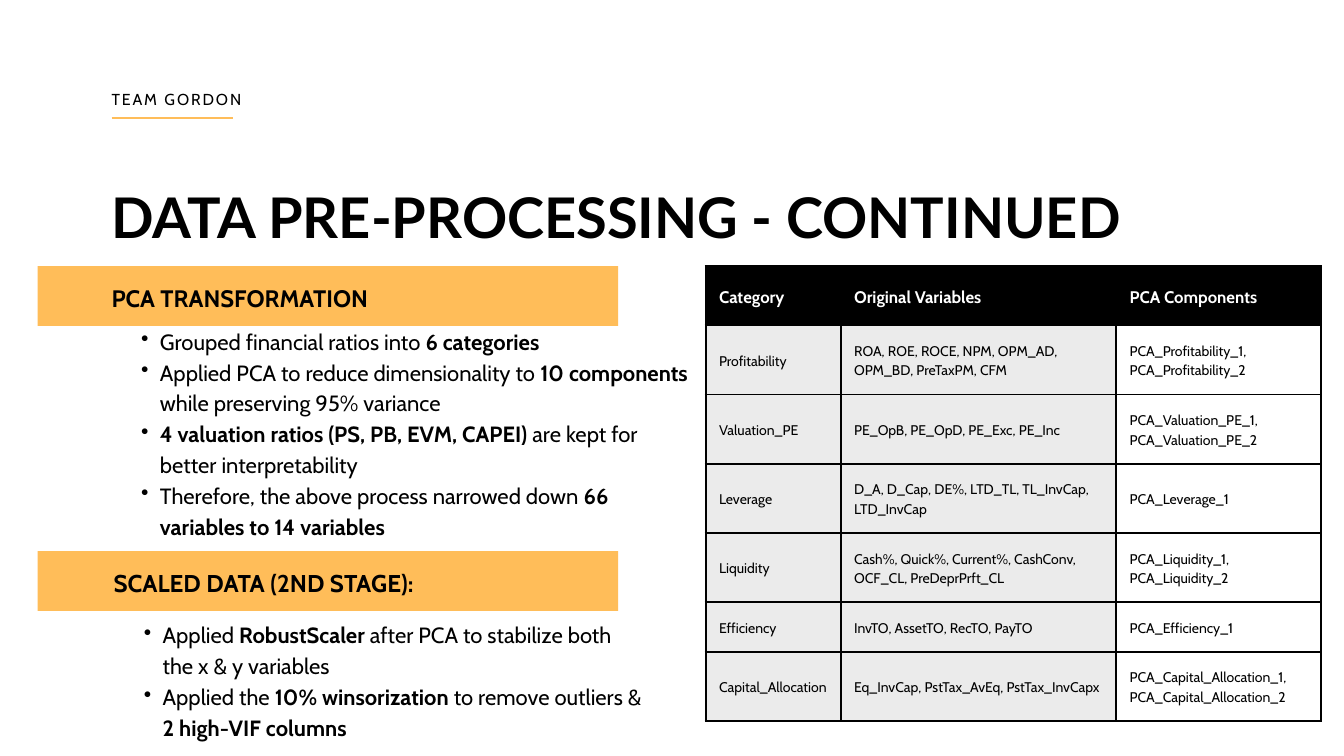
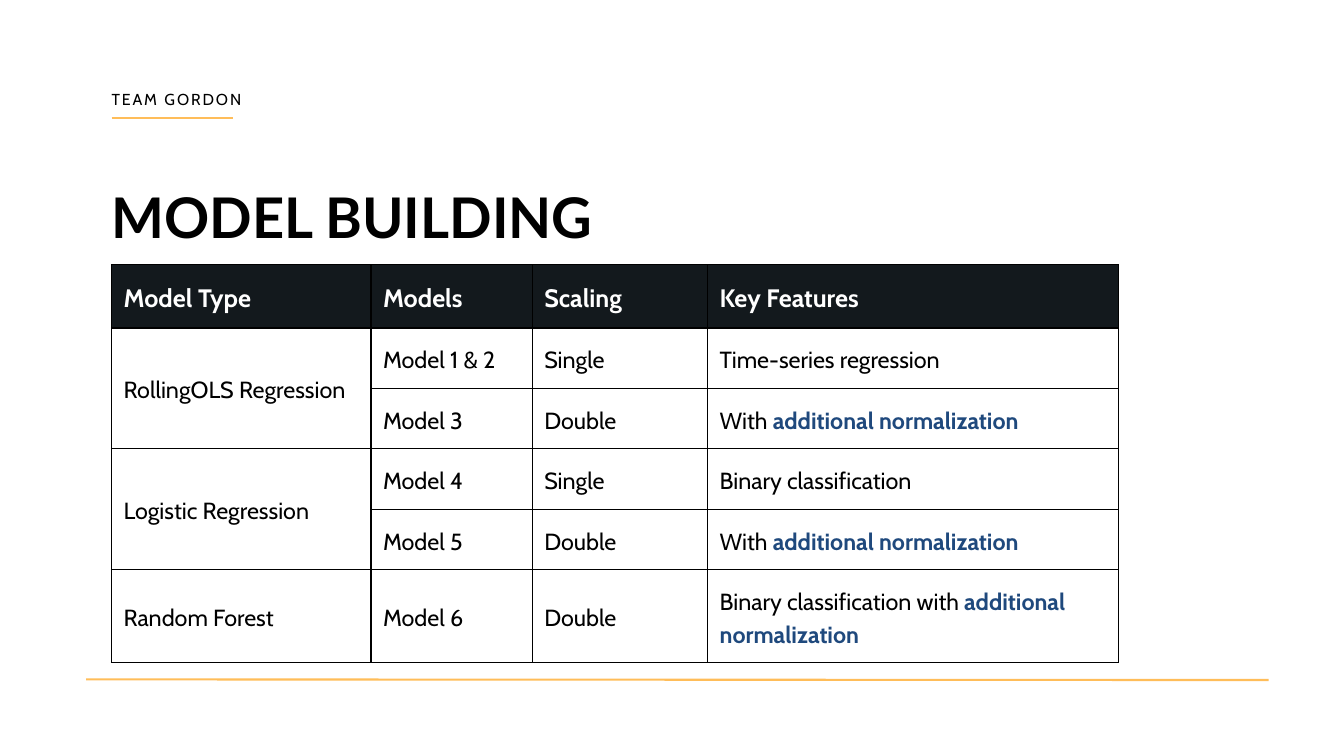
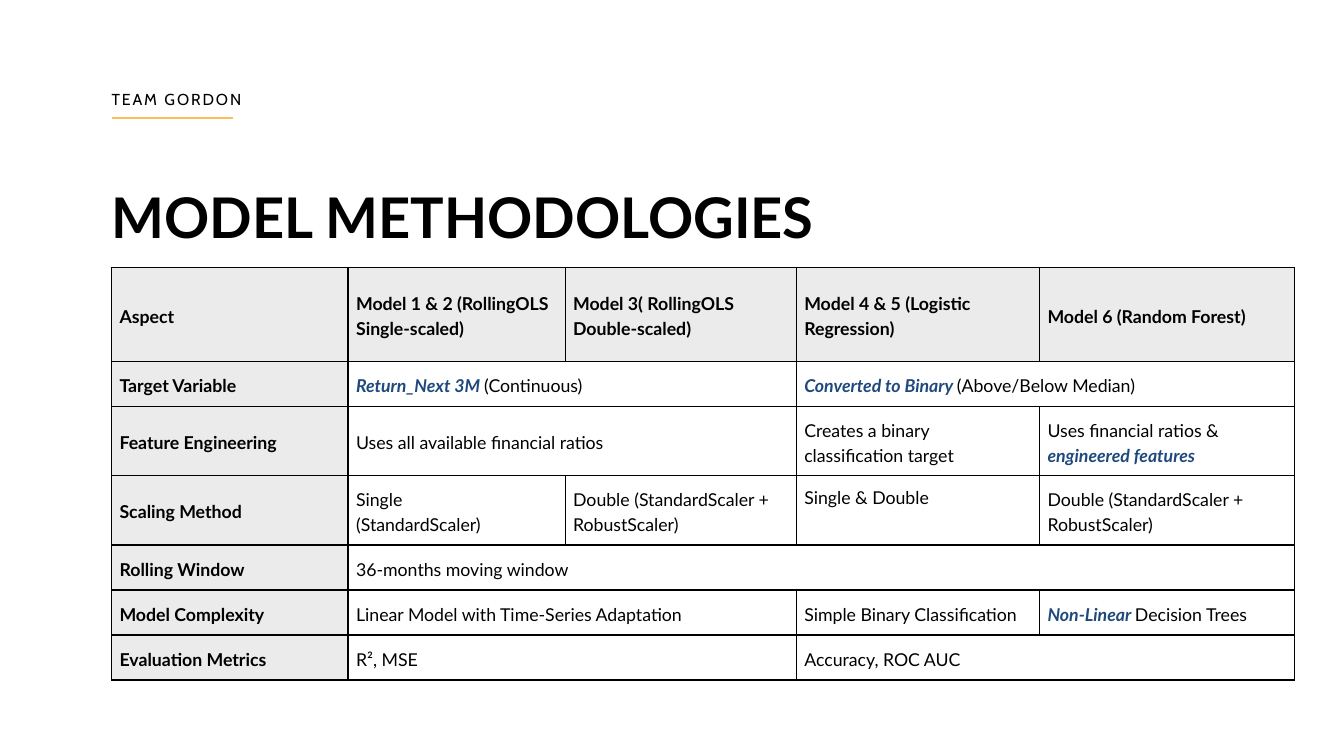
from dataclasses import dataclass

from lxml import etree
from pptx import Presentation
from pptx import util as u
from pptx.dml.color import RGBColor
from pptx.enum import shapes, text
from pptx.oxml import ns


@dataclass(frozen=True)
class Theme:
    ink: str = "000000"
    paper: str = "FFFFFF"
    gold: str = "FFBD59"
    gray: str = "EBEBEB"
    night: str = "13191D"
    blue: str = "1F497D"
    head: str = "Lato"
    body: str = "Cabin"
    title: float = 60
    tag: float = 17
    item: float = 23.6
    rule: float = 2.25


@dataclass(frozen=True)
class Look:
    """How one table is dressed."""
    font: str
    top: float              # header type size
    size: float             # body type size
    pad: float              # cell margin, in grid steps
    edge: float             # border width, in points
    fill: str               # header fill
    ink: str                # header text
    side: int = 0           # number of shaded columns
    bold: bool = False      # bold shaded columns
    rest: str = ""          # fill of the other cells
    mark: str = "000000"    # colour of marked words
    slant: bool = False     # marked words in italics


def rgb(code):
    return RGBColor.from_string(code)


def sub(node, tag, **attrs):
    return etree.SubElement(node, ns.qn(tag), attrs)


class Deck:
    COLS, ROWS = 200, 112.5     # grid steps across and down

    def __init__(self, theme):
        self.theme = theme
        self.prs = Presentation()
        self.prs.slide_width = u.Inches(20)
        self.prs.slide_height = u.Inches(11.25)
        self.slide = None

    def x(self, n):
        return u.Emu(round(self.prs.slide_width * n / self.COLS))

    def y(self, n):
        return u.Emu(round(self.prs.slide_height * n / self.ROWS))

    def box(self, left, top, wide, high):
        return self.x(left), self.y(top), self.x(wide), self.y(high)

    # Text: words between asterisks are marked, each line is a paragraph
    def fit(self, frame, words, font, size, lead, ink=None, bold=False,
            mark=None, slant=False, bullet=False, track=0):
        ink = ink or self.theme.ink
        for i, line in enumerate(words.split("\n")):
            para = frame.paragraphs[0] if i == 0 else frame.add_paragraph()
            if bullet:
                para.level = 1
                props = para._p.get_or_add_pPr()
                props.set("marL", str(self.x(5.6)))
                props.set("indent", str(-self.x(2.8)))
                sub(props, "a:buChar", char="•")
            para.alignment = text.PP_ALIGN.LEFT
            para.line_spacing = u.Pt(lead)
            para.space_before = u.Pt(0)
            para.font.name, para.font.size = font, u.Pt(size)
            para.font.bold = bold
            para.font.color.rgb = rgb(ink)
            for j, part in enumerate(line.split("*")):
                if not part:
                    continue
                run = para.add_run()
                run.text = part
                if track:
                    run._r.get_or_add_rPr().set("spc", str(track * 100))
                if j % 2:
                    run.font.bold = True
                    run.font.italic = slant
                    run.font.color.rgb = rgb(mark or ink)

    def bare(self, frame):
        frame.margin_left = frame.margin_right = 0
        frame.margin_top = frame.margin_bottom = 0
        frame.word_wrap = True
        frame.auto_size = text.MSO_AUTO_SIZE.NONE
        frame.vertical_anchor = text.MSO_ANCHOR.TOP
        return frame

    def label(self, area, words, size, lead, **style):
        shape = self.slide.shapes.add_textbox(*self.box(*area))
        self.fit(self.bare(shape.text_frame), words, self.theme.body,
                 size, lead, **style)

    def items(self, area, words):
        self.label(area, "\n".join(words), self.theme.item, 33, bullet=True)

    # Lines and bands
    def line(self, x1, y1, x2, y2):
        rule = self.slide.shapes.add_connector(
            shapes.MSO_CONNECTOR.STRAIGHT,
            self.x(x1), self.y(y1), self.x(x2), self.y(y2))
        rule.line.color.rgb = rgb(self.theme.gold)
        rule.line.width = u.Pt(self.theme.rule)
        sub(rule._element.spPr, "a:effectLst")

    def band(self, top):
        bar = self.slide.shapes.add_shape(
            shapes.MSO_SHAPE.RECTANGLE, *self.box(5.6, top, 86.4, 8.9))
        bar.shadow.inherit = False
        bar.fill.solid()
        bar.fill.fore_color.rgb = rgb(self.theme.gold)
        bar.line.fill.background()

    # A slide with its title, team tag and short rule
    def page(self, title, wide):
        t = self.theme
        self.slide = self.prs.slides.add_slide(self.prs.slide_layouts[5])
        head = self.slide.shapes.title
        head.left, head.top, head.width, head.height = self.box(
            16.6, 25.9, wide, 11)
        self.fit(self.bare(head.text_frame), title, t.head, t.title, 81,
                 bold=True)
        self.line(16.6, 17.6, 34.6, 17.6)
        self.label((16.6, 12.9, 27.8, 3.2), "TEAM GORDON", t.tag, 23.8,
                   track=2)

    # Tables: "<" joins a cell to its left, "^" to the one above
    def table(self, left, top, cols, rows, data, look):
        grid = self.slide.shapes.add_table(
            len(rows), len(cols),
            *self.box(left, top, sum(cols), sum(rows))).table
        grid.horz_banding = False
        for col, wide in zip(grid.columns, cols):
            col.width = self.x(wide)
        for row, high in zip(grid.rows, rows):
            row.height = self.y(high)
        for r, line in enumerate(data):
            for c, words in enumerate(line):
                self.cell(grid.cell(r, c), words, look, r == 0,
                          c < look.side)
        for r, line in enumerate(data):
            for c, words in enumerate(line):
                if words in "<^":
                    continue
                right, down = c, r
                while right + 1 < len(cols) and line[right + 1] == "<":
                    right += 1
                while down + 1 < len(rows) and data[down + 1][c] == "^":
                    down += 1
                if (right, down) != (c, r):
                    grid.cell(r, c).merge(grid.cell(down, right))
        return grid

    def cell(self, cell, words, look, head, side):
        cell.margin_left = cell.margin_right = self.x(look.pad)
        cell.margin_top = cell.margin_bottom = self.y(look.pad)
        cell.vertical_anchor = text.MSO_ANCHOR.MIDDLE
        props = cell._tc.get_or_add_tcPr()
        for edge in "LRTB":
            ln = sub(props, "a:ln" + edge, w=str(u.Pt(look.edge)))
            sub(sub(ln, "a:solidFill"), "a:srgbClr", val=self.theme.ink)
        fill = look.fill if head else self.theme.gray if side else look.rest
        if fill:
            cell.fill.solid()
            cell.fill.fore_color.rgb = rgb(fill)
        else:
            cell.fill.background()
        if words not in "<^":
            size = look.top if head else look.size
            self.fit(cell.text_frame, words, look.font, size, size * 1.4,
                     ink=look.ink if head else None,
                     bold=head or (side and look.bold),
                     mark=look.mark, slant=look.slant)


def prep(deck):
    t = deck.theme
    deck.page("DATA PRE-PROCESSING - CONTINUED", 172.2)
    # Left: two banded lists
    deck.band(39.6)
    deck.band(82)
    deck.label((16.6, 41.4, 95.1, 4.8), "PCA TRANSFORMATION", 25.5, 36.4,
               bold=True)
    deck.label((16.9, 83.8, 88, 4.8), "SCALED DATA (2ND STAGE):", 26, 36.4,
               bold=True)
    deck.items((18.2, 48.2, 84.7, 31.9), [
        "Grouped financial ratios into *6 categories*",
        "Applied PCA to reduce dimensionality to *10 components *"
        "while preserving 95% variance",
        "*4 valuation ratios (PS, PB, EVM, CAPEI) *"
        "are kept for better interpretability",
        "Therefore, the above process narrowed down"
        "* 66 variables to 14 variables*"])
    deck.items((18.6, 91.9, 77.5, 18.2), [
        "Applied *RobustScaler *after PCA to stabilize both the x & y "
        "variables",
        "Applied the *10% winsorization* to remove outliers & "
        "*2 high-VIF columns*"])
    # Right: variables and their components
    look = Look(t.body, 18, 15, 2, 2.25, t.ink, t.paper, side=2,
                rest=t.paper)
    deck.table(105, 39.6, [20.1, 41, 30.5],
               [8.8] + [10.3] * 4 + [7.4, 10.3], [
        ["Category", "Original Variables", "PCA Components"],
        ["Profitability",
         "ROA, ROE, ROCE, NPM, OPM_AD, OPM_BD, PreTaxPM, CFM",
         "PCA_Profitability_1, PCA_Profitability_2"],
        ["Valuation_PE", "PE_OpB, PE_OpD, PE_Exc, PE_Inc",
         "PCA_Valuation_PE_1, PCA_Valuation_PE_2"],
        ["Leverage", "D_A, D_Cap, DE%, LTD_TL, TL_InvCap, LTD_InvCap",
         "PCA_Leverage_1"],
        ["Liquidity",
         "Cash%, Quick%, Current%, CashConv, OCF_CL, PreDeprPrft_CL",
         "PCA_Liquidity_1, PCA_Liquidity_2"],
        ["Efficiency", "InvTO, AssetTO, RecTO, PayTO",
         "PCA_Efficiency_1"],
        ["Capital_Allocation", "Eq_InvCap, PstTax_AvEq, PstTax_InvCapx",
         "PCA_Capital_Allocation_1, PCA_Capital_Allocation_2"],
    ], look)


def build(deck):
    t = deck.theme
    deck.page("MODEL BUILDING", 103.1)
    deck.line(12.8, 101.1, 188.8, 101.2)
    look = Look(t.body, 27, 25, 1.8, 1.5, t.night, t.paper, mark=t.blue)
    extra = "With *additional normalization*"
    deck.table(16.6, 39.4, [38.6, 24, 26.1, 61.1],
               [9.4] + [9] * 4 + [13.8], [
        ["Model Type", "Models", "Scaling", "Key Features"],
        ["RollingOLS Regression", "Model 1 & 2", "Single",
         "Time-series regression"],
        ["^", "Model 3", "Double", extra],
        ["Logistic Regression", "Model 4", "Single",
         "Binary classification"],
        ["^", "Model 5", "Double", extra],
        ["Random Forest", "Model 6", "Double",
         "Binary classification with *additional normalization*"],
    ], look)


def method(deck):
    t = deck.theme
    deck.page("MODEL METHODOLOGIES", 131.3)
    look = Look(t.head, 19, 19, 1.2, 1.5, t.gray, t.ink, side=1, bold=True,
                mark=t.blue, slant=True)
    both = "Double (StandardScaler + \nRobustScaler)"
    grid = deck.table(16.6, 39.8, [35.2, 32.3, 34.4, 36.2, 38],
                      [14, 6.7, 10.3, 10.3] + [6.7] * 3, [
        ["Aspect", "Model 1 & 2 (RollingOLS Single-scaled)",
         "Model 3( RollingOLS Double-scaled)",
         "Model 4 & 5 (Logistic Regression)", "Model 6 (Random Forest)"],
        ["Target Variable", "*Return_Next 3M *(Continuous)", "<",
         "*Converted to Binary *(Above/Below Median)", "<"],
        ["Feature Engineering", "Uses all available financial ratios", "<",
         "Creates a binary classification target",
         "Uses financial ratios & *engineered features*"],
        ["Scaling Method", "Single\n(StandardScaler)", both,
         "Single & Double", both],
        ["Rolling Window", "36-months moving window", "<", "<", "<"],
        ["Model Complexity", "Linear Model with Time-Series Adaptation",
         "<", "Simple Binary Classification",
         "*Non-Linear *Decision Trees"],
        ["Evaluation Metrics", "R², MSE", "<", "Accuracy, ROC AUC", "<"],
    ], look)
    # Level with the first line of its neighbours
    grid.cell(3, 3).vertical_anchor = text.MSO_ANCHOR.TOP


def main():
    deck = Deck(Theme())
    prep(deck)
    build(deck)
    method(deck)
    deck.prs.save("out.pptx")


if __name__ == "__main__":
    main()
